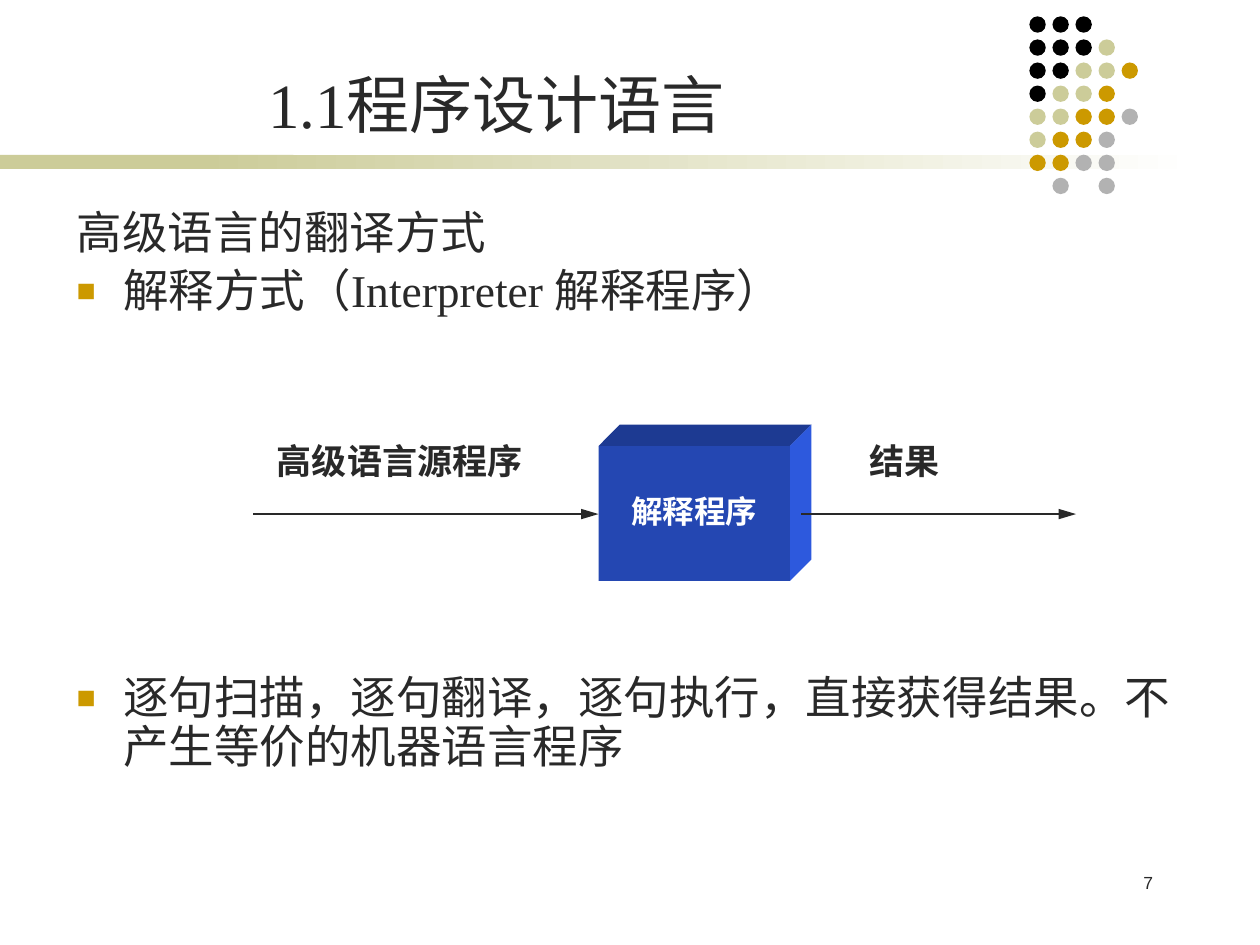
from lxml.etree import SubElement
from pptx import Presentation
from pptx.dml.color import RGBColor
from pptx.enum.shapes import MSO_CONNECTOR, MSO_SHAPE
from pptx.enum.text import MSO_ANCHOR, PP_ALIGN
from pptx.oxml.ns import qn
from pptx.util import Inches, Pt

SERIF, SANS, CJK = "Times New Roman", "Arial", "Noto Sans CJK SC"
INK, WHITE, OLIVE, GOLD = "292929", "FFFFFF", "CCCC99", "CC9900"

TITLE = "1.1程序设计语言"
BODY = [
    ("高级语言的翻译方式", False, 0),
    ("解释方式（Interpreter 解释程序）", True, 5.2),
    ("逐句扫描，逐句翻译，逐句执行，直接获得结果。不产生等价的机器语言程序", True, 204.5),
]
LABELS = [("高级语言源程序", 2.1, 2.84), ("结果", 6.8, 1.14)]
ARROWS = [(2.01, 4.75), (6.36, 8.54)]
ARROW_Y = 4.08

DOTS = ["KKK", "KKKO", "KKOOG", "KOOG", "OOGGS", "OGGS", "GGSS", " S S"]
DOT_COLORS = {"K": "000000", "O": OLIVE, "G": GOLD, "S": "B2B2B2"}
DOT_X, DOT_Y, DOT_STEP, DOT_SIZE = 8.17, 0.13, 0.183, 0.13

FRONT, TOP, SIDE = "2447B2", "1D3A92", "2D59DD"
X1, Y1, X2, Y2, DEPTH = 4.75, 3.54, 6.27, 4.61, 0.17


def rgb(color):
    return RGBColor.from_string(color)


def paint(sp, color):
    sp.shadow.inherit = False
    sp.fill.solid()
    sp.fill.fore_color.rgb = rgb(color)
    sp.line.fill.background()
    return sp


def add_shape(kind, x, y, w, h, color):
    return paint(s.shapes.add_shape(kind, Inches(x), Inches(y), Inches(w), Inches(h)), color)


def add_face(points, color):
    pts = [(Inches(x), Inches(y)) for x, y in points]
    fb = s.shapes.build_freeform(*pts[0])
    fb.add_line_segments(pts[1:], close=True)
    paint(fb.convert_to_shape(), color)


def add_box(x, y, w, h, anchor=MSO_ANCHOR.TOP):
    tf = s.shapes.add_textbox(Inches(x), Inches(y), Inches(w), Inches(h)).text_frame
    tf.word_wrap = True
    tf.vertical_anchor = anchor
    return tf


def write(p, text, size, font=SERIF, color=INK, bold=False, align=PP_ALIGN.LEFT,
          spacing=1.0, before=0):
    p.alignment = align
    p.line_spacing = spacing
    p.space_before = Pt(before)
    r = p.add_run()
    r.text = text
    r.font.size = Pt(size)
    r.font.name = font
    r.font.bold = bold
    r.font.color.rgb = rgb(color)
    SubElement(r.font._element, qn("a:ea"), typeface=CJK)


def set_bullet(p, bullet):
    pPr = p._p.get_or_add_pPr()
    pPr.set("marL", str(Inches(0.37)))
    pPr.set("indent", str(-Inches(0.37)))
    if not bullet:
        SubElement(pPr, qn("a:buNone"))
        return
    clr = SubElement(pPr, qn("a:buClr"))
    SubElement(clr, qn("a:srgbClr"), val=GOLD)
    SubElement(pPr, qn("a:buSzPct"), val="70000")
    SubElement(pPr, qn("a:buFont"), typeface=SANS)
    SubElement(pPr, qn("a:buChar"), char="■")


def add_arrow(x1, x2, y):
    c = s.shapes.add_connector(MSO_CONNECTOR.STRAIGHT, Inches(x1), Inches(y), Inches(x2), Inches(y))
    c.line.color.rgb = rgb(INK)
    c.line.width = Pt(1.5)
    SubElement(c.line._get_or_add_ln(), qn("a:tailEnd"), type="triangle", w="med", len="lg")
    SubElement(c._element.spPr, qn("a:effectLst"))


prs = Presentation()
prs.slide_width, prs.slide_height = Inches(10), Inches(7.5)
s = prs.slides.add_slide(prs.slide_layouts[6])

add_shape(MSO_SHAPE.RECTANGLE, 0, 1.23, 2.33, 0.11, OLIVE)
fade = add_shape(MSO_SHAPE.RECTANGLE, 1.58, 1.23, 7.92, 0.11, OLIVE)
fade.fill.gradient()
fade.fill.gradient_angle = 0
for stop, color, position in zip(fade.fill.gradient_stops, (OLIVE, WHITE), (0, 1)):
    stop.color.rgb = rgb(color)
    stop.position = position

for row, line in enumerate(DOTS):
    for col, key in enumerate(line):
        if key in DOT_COLORS:
            add_shape(MSO_SHAPE.OVAL, DOT_X + col * DOT_STEP, DOT_Y + row * DOT_STEP,
                      DOT_SIZE, DOT_SIZE, DOT_COLORS[key])

tf = add_box(1.14, 0.27, 5.6, 0.9, MSO_ANCHOR.BOTTOM)
write(tf.paragraphs[0], TITLE, 36, align=PP_ALIGN.CENTER)

tf = add_box(0.51, 1.62, 8.9, 4.8)
for i, (text, bullet, before) in enumerate(BODY):
    p = tf.add_paragraph() if i else tf.paragraphs[0]
    set_bullet(p, bullet)
    write(p, text, 26, spacing=0.9, before=before)

tf = add_box(8.23, 6.87, 1.02, 0.5)
write(tf.paragraphs[0], "7", 10, font=SANS, align=PP_ALIGN.RIGHT)

add_face([(X1, Y1), (X1 + DEPTH, Y1 - DEPTH), (X2 + DEPTH, Y1 - DEPTH), (X2, Y1)], TOP)
add_face([(X2, Y1), (X2 + DEPTH, Y1 - DEPTH), (X2 + DEPTH, Y2 - DEPTH), (X2, Y2)], SIDE)
front = add_shape(MSO_SHAPE.RECTANGLE, X1, Y1, X2 - X1, Y2 - Y1, FRONT)
tf = front.text_frame
tf.word_wrap = False
tf.vertical_anchor = MSO_ANCHOR.MIDDLE
write(tf.paragraphs[0], "解释程序", 18, font=CJK, color=WHITE, bold=True,
      align=PP_ALIGN.CENTER, spacing=0.85)

for x1, x2 in ARROWS:
    add_arrow(x1, x2, ARROW_Y)
for text, x, w in LABELS:
    tf = add_box(x, 3.44, w, 0.43)
    write(tf.paragraphs[0], text, 20, font=CJK, bold=True)

prs.save("out.pptx")
